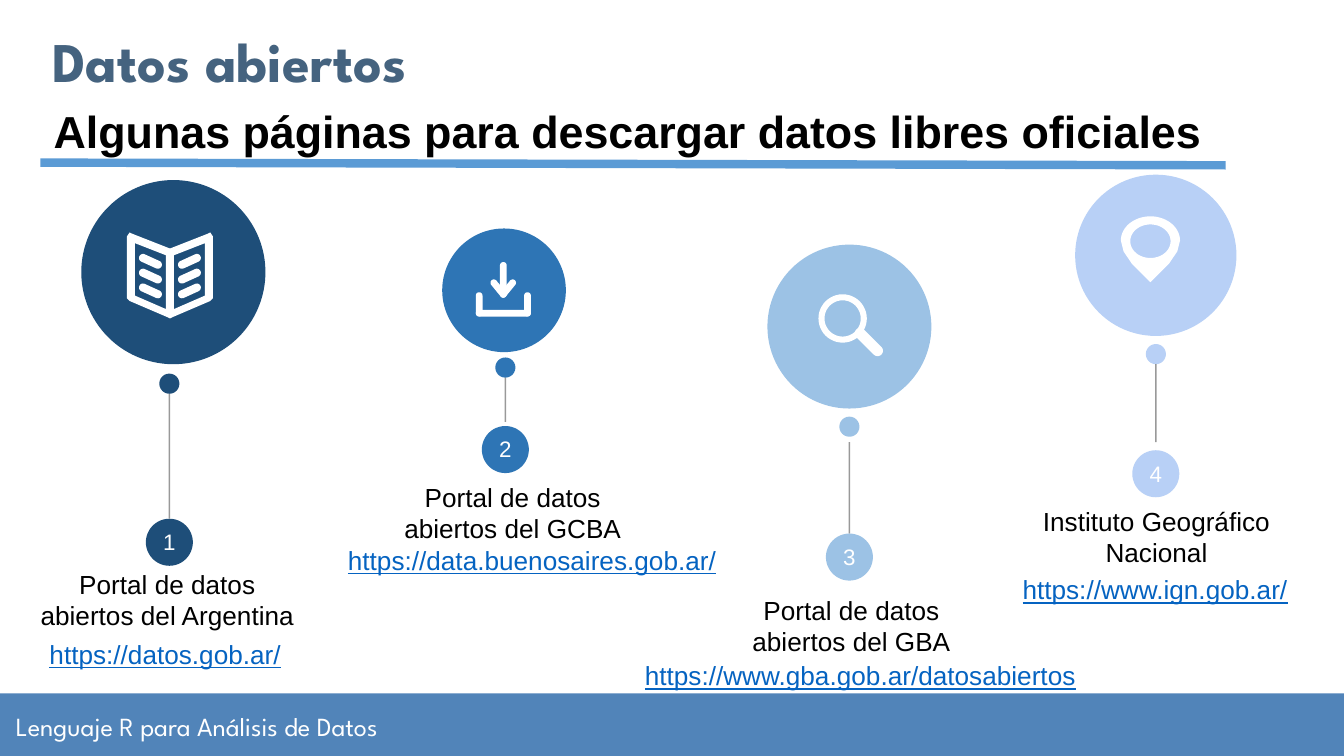
from dataclasses import dataclass
from math import atan2, cos, pi, sin
from typing import Callable

from lxml import etree
from pptx import Presentation
from pptx.dml.color import RGBColor
from pptx.enum.shapes import MSO_CONNECTOR, MSO_SHAPE
from pptx.enum.text import MSO_ANCHOR, PP_ALIGN
from pptx.oxml.ns import qn
from pptx.util import Inches, Pt


@dataclass(frozen=True)
class Theme:
    body_font: str = "Arial"
    brand_font: str = "League Spartan"
    white: str = "FFFFFF"
    black: str = "000000"
    title: str = "45637F"
    rule: str = "5B9BD5"
    footer: str = "5184B9"
    link: str = "0563C1"
    title_size: int = 30
    subtitle_size: int = 24
    body_size: int = 14
    badge_size: int = 12


THEME = Theme()


@dataclass(frozen=True)
class Station:
    """One portal; lengths are measured from its axis and the top of its disc."""
    name: str
    url: str
    color: str
    axis: float
    top: float
    disc: float
    disc_shift: float
    dot: float
    stem: tuple
    badge: float
    caption: tuple
    link: tuple
    icon_at: tuple
    icon: Callable


# Basic parts
def rgb(color):
    return RGBColor.from_string(color)


def paint(shape, color):
    shape.shadow.inherit = False
    shape.fill.solid()
    shape.fill.fore_color.rgb = rgb(color)
    shape.line.fill.background()


def add_filled(slide, kind, box, color):
    shape = slide.shapes.add_shape(kind, *map(Inches, box))
    paint(shape, color)
    return shape


def add_run(frame, text, size, color, font=THEME.body_font, bold=False, underline=False):
    run = frame.paragraphs[0].add_run()
    run.text = text
    run.font.size, run.font.name = Pt(size), font
    run.font.bold, run.font.underline = bold, underline
    run.font.color.rgb = rgb(color)


def add_label(slide, box, text, size, color, align=PP_ALIGN.LEFT, anchor=MSO_ANCHOR.TOP,
              inset=0.05, wrap=True, **style):
    frame = slide.shapes.add_textbox(*map(Inches, box)).text_frame
    frame.word_wrap, frame.vertical_anchor = wrap, anchor
    frame.margin_top = frame.margin_bottom = Inches(inset)
    frame.paragraphs[0].alignment = align
    add_run(frame, text, size, color, **style)


def add_line(slide, start, end, color, width, opacity=None):
    line = slide.shapes.add_connector(MSO_CONNECTOR.STRAIGHT, *map(Inches, (*start, *end)))
    line.line.color.rgb, line.line.width = rgb(color), Pt(width)
    if opacity:
        tint = line._element.spPr.find(".//" + qn("a:srgbClr"))
        etree.SubElement(tint, qn("a:alpha")).set("val", str(opacity * 1000))
    etree.SubElement(line._element.spPr, qn("a:effectLst"))


# Icon outlines: each figure is a list of contours, with inner ones as holes
def arc(x, y, rx, ry, start=0, sweep=2 * pi, steps=48):
    angles = [start + sweep * i / steps for i in range(steps + 1)]
    return [(x + rx * cos(a), y + ry * sin(a)) for a in angles]


def stroke(x1, y1, x2, y2, radius=0.025):
    heading = atan2(y2 - y1, x2 - x1)
    return (arc(x2, y2, radius, radius, heading - pi / 2, pi, 12)
            + arc(x1, y1, radius, radius, heading + pi / 2, pi, 12))


def mirror(contour, width):
    return [(width - x, y) for x, y in contour]


def book():
    cover = [(0.32, 0.12), (0.04, 0.01), (0.02, 0), (0, 0.03), (0, 0.49), (0.02, 0.51),
             (0.30, 0.63), (0.32, 0.64)]
    left = [[(0.29, 0.17), (0.06, 0.08), (0.06, 0.47), (0.29, 0.57)]]
    left += [stroke(0.12, y, 0.23, y + 0.05, 0.03) for y in (0.19, 0.30, 0.41)]
    return [[cover + mirror(cover, 0.64)[::-1], *left, *(mirror(c, 0.64) for c in left)]]


def download():
    tray = [(0.025, 0.25, 0.025, 0.38), (0.025, 0.38, 0.385, 0.38), (0.385, 0.38, 0.385, 0.25)]
    arrow = [(0.205, 0.025, 0.205, 0.24), (0.135, 0.155, 0.205, 0.24),
             (0.275, 0.155, 0.205, 0.24)]
    return [[stroke(*ends)] for ends in tray + arrow]


def magnifier():
    lens = [arc(0.18, 0.18, r, r) for r in (0.18, 0.135)]
    return [lens, [stroke(0.31, 0.29, 0.44, 0.42, 0.04)]]


def pin():
    side = [(0.42, 0.26), (0.36, 0.35)]
    drop = arc(0.22, 0.18, 0.22, 0.18, pi, pi) + side + [(0.22, 0.49)] + mirror(side, 0.44)[::-1]
    return [[drop, arc(0.22, 0.185, 0.15, 0.125)]]


def add_icon(slide, left, top, figures):
    for contours in figures:
        placed = [[(Inches(left + x), Inches(top + y)) for x, y in c] for c in contours]
        builder = slide.shapes.build_freeform(*placed[0][0])
        for i, contour in enumerate(placed):
            if i:
                builder.move_to(*contour[0])
            builder.add_line_segments(contour[1:], close=True)
        paint(builder.convert_to_shape(), THEME.white)


# Regions
def draw_header(slide, left, top, width):
    add_label(slide, (left - 0.01, top, 6.59, 0.51), "Datos abiertos", THEME.title_size,
              THEME.title, anchor=MSO_ANCHOR.MIDDLE, inset=0.1, font=THEME.brand_font, bold=True)
    add_label(slide, (left, top + 0.53, width, 0.5),
              "Algunas páginas para descargar datos libres oficiales",
              THEME.subtitle_size, THEME.black, bold=True)
    add_line(slide, (left, top + 1.02), (left + width, top + 1.04), THEME.rule, 4.5)


def draw_footer(slide, left, top, width, height):
    add_filled(slide, MSO_SHAPE.RECTANGLE, (left, top, width, height), THEME.footer)
    add_label(slide, (left + 0.02, top + 0.01, width / 2, height),
              "Lenguaje R para Análisis de Datos", THEME.body_size, THEME.white,
              anchor=MSO_ANCHOR.MIDDLE, inset=0.1, font=THEME.brand_font)


def draw_station(slide, number, s):
    def circle(center, top, size):
        box = (center - size / 2, s.top + top, size, size)
        return add_filled(slide, MSO_SHAPE.OVAL, box, s.color)

    # Disc with its icon
    center = s.axis + s.disc_shift
    circle(center, 0, s.disc)
    add_icon(slide, center - s.disc / 2 + s.icon_at[0], s.top + s.icon_at[1], s.icon())

    # Dot, stem and numbered badge
    circle(s.axis, s.dot, 0.15)
    add_line(slide, *((s.axis, s.top + y) for y in s.stem), THEME.black, 0.75, opacity=40)
    frame = circle(s.axis, s.badge, 0.35).text_frame
    frame.margin_left = frame.margin_right = frame.margin_top = 0
    frame.margin_bottom = Inches(0.01)
    frame.vertical_anchor = MSO_ANCHOR.MIDDLE
    frame.paragraphs[0].alignment = PP_ALIGN.CENTER
    add_run(frame, str(number), THEME.badge_size, THEME.white)

    # Name and address
    add_label(slide, (s.axis + s.caption[0], s.top + s.caption[1], 2.09, 0.57), s.name,
              THEME.body_size, THEME.black, align=PP_ALIGN.CENTER)
    x, y, width = s.link
    add_label(slide, (s.axis + x, s.top + y, width, 0.34), s.url, THEME.body_size, THEME.link,
              wrap=False, underline=True)


STATIONS = [
    Station("Portal de datos abiertos del Argentina", "https://datos.gob.ar/", "1E4E79",
            1.26, 1.34, 1.37, 0.03, 1.44, (2.52, 1.59), 2.52, (-1.06, 2.84),
            (-0.99, 3.36, 1.93), (0.34, 0.39), book),
    Station("Portal de datos abiertos del GCBA", "https://data.buenosaires.gob.ar/", "2E75B5",
            3.76, 1.70, 0.92, -0.01, 0.96, (1.44, 1.11), 1.47, (-0.99, 1.83),
            (-1.27, 2.3, 2.95), (0.25, 0.25), download),
    Station("Portal de datos abiertos del GBA", "https://www.gba.gob.ar/datosabiertos", "9CC2E5",
            6.32, 1.82, 1.22, 0, 1.28, (2.15, 1.47), 2.15, (-1.03, 2.55),
            (-1.62, 3.04, 3.43), (0.38, 0.37), magnifier),
    Station("Instituto Geográfico Nacional", "https://www.ign.gob.ar/", "B8D0F6",
            8.6, 1.3, 1.2, 0, 1.26, (1.99, 1.41), 2.05, (-1.04, 2.41),
            (-1.09, 2.92, 2.19), (0.34, 0.31), pin),
]


def main():
    deck = Presentation()
    deck.slide_width = Inches(10)
    deck.slide_height = deck.slide_width * 9 // 16
    slide = deck.slides.add_slide(deck.slide_layouts[6])
    draw_footer(slide, 0, 5.16, 10, 0.47)
    draw_header(slide, 0.3, 0.19, 8.82)
    for number, station in enumerate(STATIONS, 1):
        draw_station(slide, number, station)
    deck.save("out.pptx")


if __name__ == "__main__":
    main()
